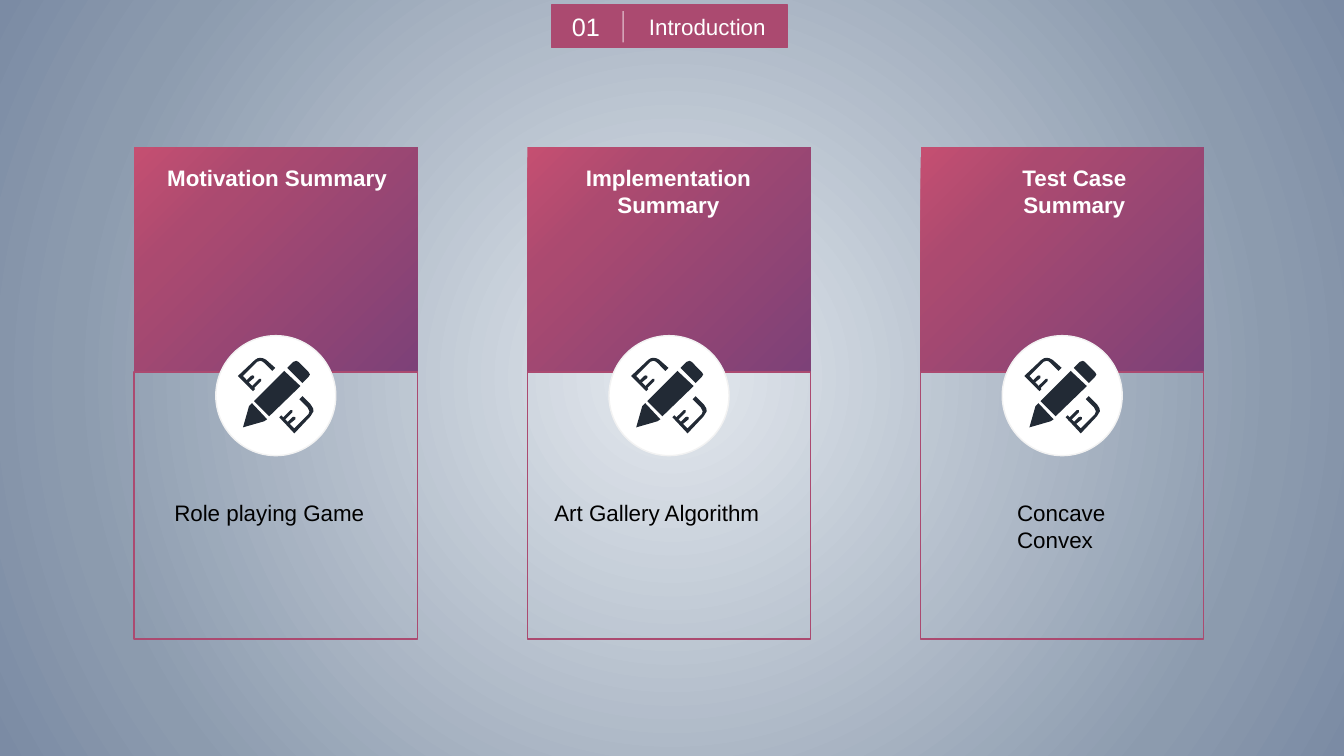
from lxml.etree import SubElement
from pptx import Presentation
from pptx.dml.color import RGBColor
from pptx.enum.shapes import MSO_CONNECTOR, MSO_SHAPE
from pptx.enum.text import MSO_ANCHOR, MSO_AUTO_SIZE, PP_ALIGN
from pptx.oxml.ns import qn
from pptx.util import Inches, Pt

WHITE = RGBColor(0xFF, 0xFF, 0xFF)
BLACK = RGBColor(0x00, 0x00, 0x00)
ROSE = RGBColor(0xAB, 0x4A, 0x70)
PLUM = RGBColor(0x7D, 0x41, 0x78)
CORAL = RGBColor(0xC5, 0x4F, 0x71)
RIM = RGBColor(0xF2, 0xF2, 0xF2)
INK = RGBColor(0x22, 0x2A, 0x35)
MIST = RGBColor(0xE4, 0xE9, 0xEF)
SLATE = RGBColor(0x8C, 0x9B, 0xAE)
STEEL = RGBColor(0x7B, 0x8B, 0xA4)

CARD_LEFT, CARD_STEP, CARD_WIDTH = 1.33, 3.9, 2.81

# Heading and body: lines, left, width
CARDS = [
    ((["Motivation Summary"], 1.56, 2.39), (["Role playing Game"], 1.63, 2.21)),
    ((["Implementation", "Summary"], 5.71, 1.84), (["Art Gallery Algorithm"], 5.4, 2.46)),
    ((["Test Case", "Summary"], 10.03, 1.25), (["Concave", "Convex"], 9.99, 1.1)),
]

# Icon outlines, in hundredths of an inch from the icon's corner
ERASER = [(58, 3), (60, 4), (70, 14), (71.5, 16.5), (70, 19), (64, 25), (49, 10), (55, 4)]
PENCIL = [(62, 28), (31, 58), (16, 43), (46, 13)]
TIP = [(14, 45), (29, 61), (26, 63), (5, 69), (11, 48)]
UPPER_RULER = [(15, 33), (0, 18), (17, 2), (19.5, 0.5), (22, 0), (25, 0.5), (28, 2), (37, 10),
               (34, 13), (26, 5), (24, 3.5), (22, 3), (19, 4), (5, 18), (17, 31)]
LOWER_RULER = [(56, 75), (41, 59), (43, 57), (56, 70), (70, 56), (71, 53), (69, 49), (61, 41),
               (64, 38), (72, 46), (74.5, 50), (75, 53), (72, 58)]
SHORT_TICK = [(9, 26), (7.5, 25), (8, 23), (13, 18), (14.5, 17.5), (16, 18), (16, 20), (10, 25)]
LONG_TICK = [(14, 31), (12.5, 31), (13, 29), (21, 21), (23, 21), (23, 23), (15, 31)]


def shifted(outline, distance):
    return [(x + distance, y + distance) for x, y in outline]


ICON = [ERASER, PENCIL, TIP, UPPER_RULER, SHORT_TICK, LONG_TICK,
        LOWER_RULER, shifted(SHORT_TICK, 41), shifted(LONG_TICK, 31)]


def set_attributes(target, values):
    for name, value in values.items():
        setattr(target, name, value)


def set_radial_gradient(fill, element, stops, focus):
    """Fill with a circular gradient; focus is left, top, right, bottom in percent."""
    fill.gradient()
    gradient = element.find(".//" + qn("a:gradFill"))
    gradient.clear()
    gradient.set("rotWithShape", "1")
    stop_list = SubElement(gradient, qn("a:gsLst"))
    for position, color in stops:
        stop = SubElement(stop_list, qn("a:gs"), pos=str(position * 1000))
        SubElement(stop, qn("a:srgbClr"), val=str(color))
    circle = SubElement(gradient, qn("a:path"), path="circle")
    sides = {side: str(percent * 1000) for side, percent in zip("ltrb", focus)}
    SubElement(circle, qn("a:fillToRect"), sides)


def add_preset(shapes, kind, box, fill=None, line=None):
    shape = shapes.add_shape(kind, *map(Inches, box))
    shape.shadow.inherit = False
    if fill is None:
        shape.fill.background()
    else:
        shape.fill.solid()
        shape.fill.fore_color.rgb = fill
    if line is None:
        shape.line.fill.background()
    else:
        shape.line.color.rgb = line
        shape.line.width = Pt(1)
    return shape


def write_lines(shape, lines, frame_format, font_format, color, alignment):
    frame = shape.text_frame
    set_attributes(frame, {"auto_size": MSO_AUTO_SIZE.SHAPE_TO_FIT_TEXT, **frame_format})
    for index, line in enumerate(lines):
        paragraph = frame.add_paragraph() if index else frame.paragraphs[0]
        paragraph.alignment = alignment
        run = paragraph.add_run()
        run.text = line
        set_attributes(run.font, {"name": "Arial", **font_format})
        run.font.color.rgb = color


def add_banner(slide):
    banner = add_preset(slide.shapes, MSO_SHAPE.RECTANGLE, (5.47, 0.05, 2.34, 0.42), ROSE, ROSE)
    centred = {"word_wrap": True, "vertical_anchor": MSO_ANCHOR.MIDDLE}

    # Title, in front of the banner
    title = slide.shapes.title
    banner.element.addnext(title.element)
    set_attributes(title, {"left": Inches(6.23), "top": Inches(0.08),
                           "width": Inches(1.57), "height": Inches(0.37)})
    write_lines(title, ["Introduction"], centred, {"size": Pt(16)}, WHITE, PP_ALIGN.CENTER)

    # Section number
    number = slide.shapes.add_textbox(*map(Inches, (5.47, 0.06, 0.68, 0.4)))
    write_lines(number, ["01"], centred, {"size": Pt(18)}, WHITE, PP_ALIGN.CENTER)

    # Half-transparent divider
    divider = slide.shapes.add_connector(
        MSO_CONNECTOR.STRAIGHT, *map(Inches, (6.18, 0.11, 6.18, 0.42)))
    divider.line.color.rgb = WHITE
    divider.line.width = Pt(1)
    color = divider.element.find(".//" + qn("a:srgbClr"))
    SubElement(color, qn("a:alpha"), val="49000")
    SubElement(divider.element.spPr, qn("a:effectLst"))


def add_card_text(slide, block, top, bold, color, alignment):
    lines, left, width = block
    height = 0.1 + 0.27 * len(lines)
    text_box = slide.shapes.add_textbox(*map(Inches, (left, top, width, height)))
    write_lines(text_box, lines, {"word_wrap": False},
                {"size": Pt(16), "bold": bold}, color, alignment)


def add_card(slide, left, heading, body):
    header = add_preset(slide.shapes, MSO_SHAPE.RECTANGLE, (left, 1.46, CARD_WIDTH, 2.24))
    set_radial_gradient(header.fill, header.element,
                        [(0, PLUM), (73, ROSE), (100, CORAL)], (100, 100, 0, 0))
    add_preset(slide.shapes, MSO_SHAPE.RECTANGLE, (left, 3.69, CARD_WIDTH, 2.65), line=ROSE)
    heading_alignment = PP_ALIGN.CENTER if len(heading[0]) > 1 else PP_ALIGN.LEFT
    add_card_text(slide, heading, 1.58, True, WHITE, heading_alignment)
    add_card_text(slide, body, 4.9, False, BLACK, PP_ALIGN.LEFT)


def add_icon(slide, card_left):
    group = slide.shapes.add_group_shape()
    add_preset(group.shapes, MSO_SHAPE.OVAL, (card_left + 0.81, 3.33, 1.19, 1.19), WHITE, RIM)
    for outline in ICON:
        points = [(x * 10, y * 10) for x, y in outline]
        builder = group.shapes.build_freeform(*points[0], scale=Inches(0.001))
        builder.add_line_segments(points[1:], close=True)
        part = builder.convert_to_shape(Inches(card_left + 1.03), Inches(3.55))
        part.shadow.inherit = False
        part.fill.solid()
        part.fill.fore_color.rgb = INK
        part.line.fill.background()


def main():
    presentation = Presentation()
    presentation.slide_width = Inches(13.33)
    presentation.slide_height = Inches(7.5)
    slide = presentation.slides.add_slide(presentation.slide_layouts[5])
    set_radial_gradient(slide.background.fill, slide.element,
                        [(0, MIST), (78, SLATE), (100, STEEL)], (50, 50, 50, 50))

    add_banner(slide)
    lefts = [CARD_LEFT + CARD_STEP * index for index in range(len(CARDS))]
    for left, (heading, body) in zip(lefts, CARDS):
        add_card(slide, left, heading, body)
    for left in lefts:
        add_icon(slide, left)

    presentation.save("out.pptx")


if __name__ == "__main__":
    main()
